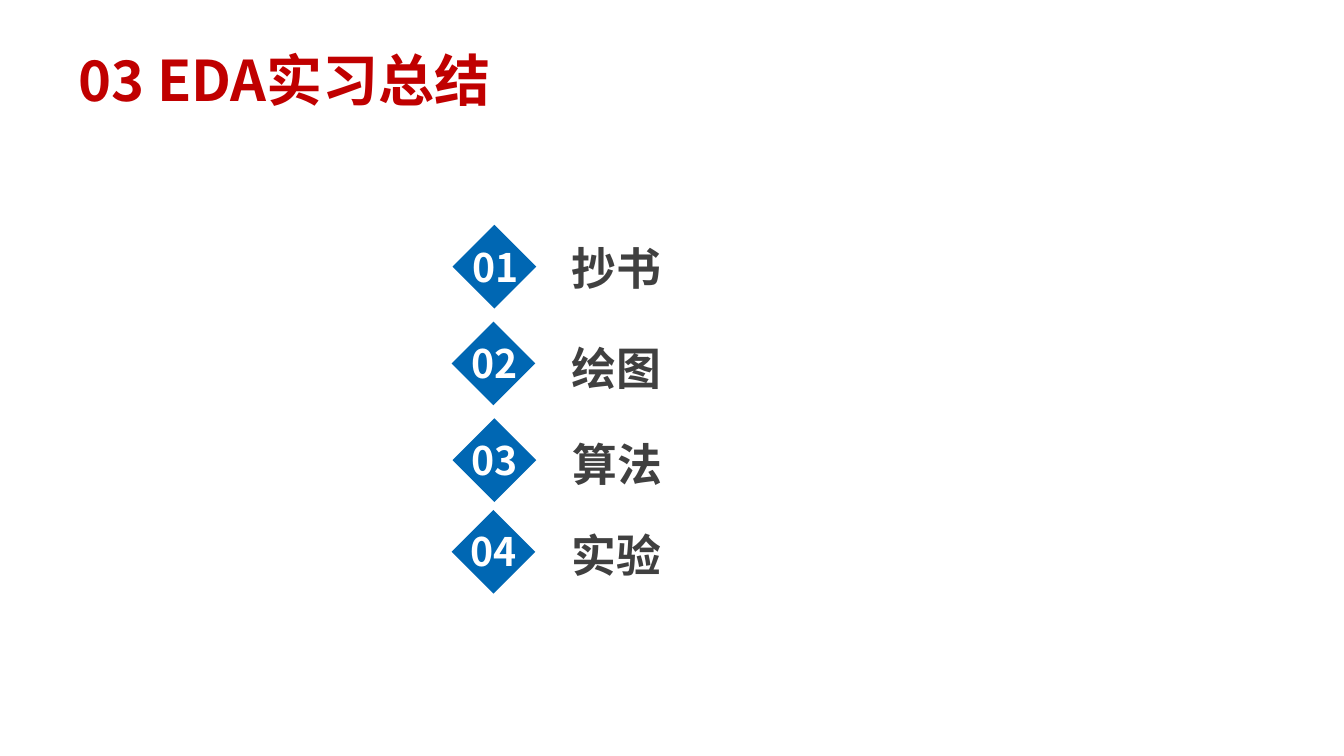
from dataclasses import dataclass

from lxml import etree
from pptx import Presentation
from pptx.dml.color import RGBColor
from pptx.enum.shapes import MSO_SHAPE
from pptx.enum.text import MSO_AUTO_SIZE, PP_ALIGN
from pptx.oxml.ns import qn
from pptx.util import Pt

DIAMOND = MSO_SHAPE.DIAMOND
GROW = MSO_AUTO_SIZE.SHAPE_TO_FIT_TEXT
LEFT, CENTER = PP_ALIGN.LEFT, PP_ALIGN.CENTER


@dataclass(frozen=True)
class Theme:
    font: str = "Noto Sans CJK SC"
    title: RGBColor = RGBColor(0xC0, 0x00, 0x00)
    marker: RGBColor = RGBColor(0x00, 0x67, 0xB3)
    number: RGBColor = RGBColor(0xFF, 0xFF, 0xFF)
    label: RGBColor = RGBColor(0x40, 0x40, 0x40)
    title_size: int = 40
    label_size: int = 32
    number_size: int = 28


THEME = Theme()
MARKER_SIZE = 59.8

# Label, label box (left, top, width), diamond (left, top), number (left, top)
ITEMS = [
    ("抄书", (401, 168.5, 381.6), (323.3, 160.6), (323.3, 170.6)),
    ("绘图", (401, 239.8, 365), (322.6, 229.7), (322.6, 239)),
    ("算法", (401.8, 308.2, 271.4), (323.3, 298.8), (322.6, 308.2)),
    ("实验", (401, 373.7, 271.4), (322.6, 364.3), (321.8, 373)),
]


def add_text(slide, text, left, top, width, height, size, color, align=LEFT):
    """Add a bold one-line text box that grows with its text."""
    sp = slide.shapes.add_textbox(Pt(left), Pt(top), Pt(width), Pt(height))
    tf = sp.text_frame
    tf.word_wrap = True
    tf.auto_size = GROW
    p = tf.paragraphs[0]
    p.alignment = align
    r = p.add_run()
    r.text = text
    r.font.size = Pt(size)
    r.font.bold = True
    r.font.color.rgb = color
    r.font.name = THEME.font
    # East Asian characters take their own typeface element
    etree.SubElement(r.font._element, qn("a:ea"), typeface=THEME.font)


def add_marker(slide, left, top):
    sp = slide.shapes.add_shape(
        DIAMOND, Pt(left), Pt(top), Pt(MARKER_SIZE), Pt(MARKER_SIZE))
    sp.shadow.inherit = False
    sp.fill.solid()
    sp.fill.fore_color.rgb = THEME.marker
    sp.line.fill.background()


def add_item(slide, number, label, label_box, marker_at, number_at):
    add_marker(slide, *marker_at)
    add_text(slide, f"{number:02}", *number_at, 61.2, 41,
             THEME.number_size, THEME.number, CENTER)
    add_text(slide, label, *label_box, 46, THEME.label_size, THEME.label)


def main():
    prs = Presentation()
    prs.slide_width, prs.slide_height = Pt(960), Pt(540)
    slide = prs.slides.add_slide(prs.slide_layouts[6])

    # Title
    add_text(slide, "03 EDA实习总结", 49, 28.8, 404, 55.4,
             THEME.title_size, THEME.title)

    # Numbered list
    for number, item in enumerate(ITEMS, start=1):
        add_item(slide, number, *item)

    prs.save("out.pptx")


if __name__ == "__main__":
    main()
